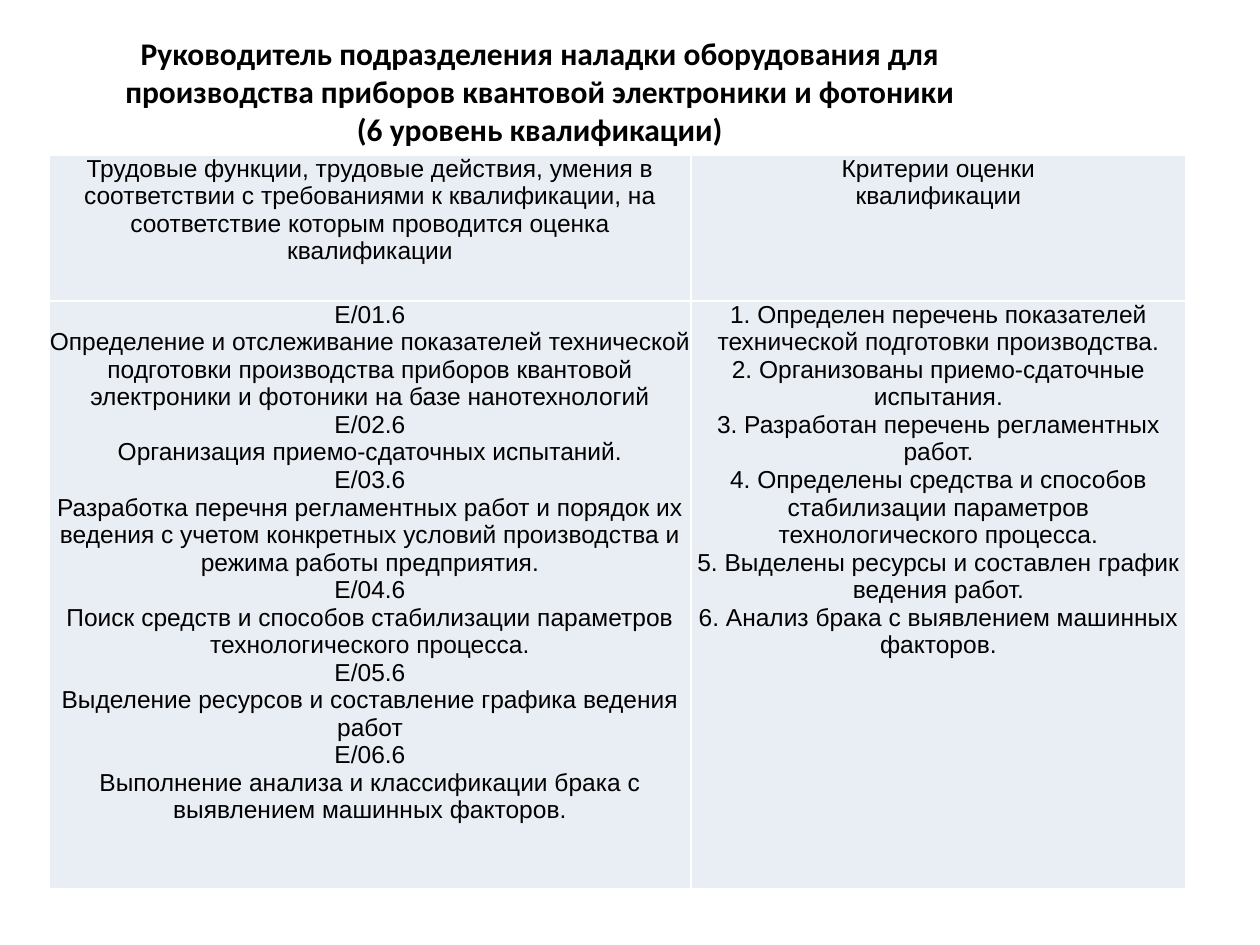
from lxml import etree
from pptx import Presentation
from pptx.dml.color import RGBColor
from pptx.enum.text import PP_ALIGN
from pptx.oxml.ns import qn
from pptx.util import Emu, Pt

PX = 914400 // 126
CENTER = PP_ALIGN.CENTER
BLACK = RGBColor(0x00, 0x00, 0x00)
WHITE = RGBColor(0xFF, 0xFF, 0xFF)
PALE_BLUE = RGBColor(0xE9, 0xED, 0xF4)

TITLE = [
    "Руководитель подразделения наладки оборудования для производства "
    "приборов квантовой электроники и фотоники",
    "(6 уровень квалификации)",
]
FUNCTIONS_HEADER = [
    "Трудовые функции, трудовые действия, умения в",
    "соответствии с требованиями к квалификации, на",
    "соответствие которым проводится оценка",
    "квалификации",
]
CRITERIA_HEADER = ["Критерии оценки", "квалификации"]
FUNCTIONS = [
    "Е/01.6",
    "Определение и отслеживание показателей технической подготовки производства "
    "приборов квантовой электроники и фотоники на базе нанотехнологий",
    "Е/02.6",
    "Организация приемо-сдаточных испытаний.",
    "Е/03.6",
    "Разработка перечня регламентных работ и порядок их ведения с учетом "
    "конкретных условий производства и режима работы предприятия.",
    "Е/04.6",
    "Поиск средств и способов стабилизации параметров технологического процесса.",
    "Е/05.6",
    "Выделение ресурсов и составление графика ведения работ",
    "Е/06.6",
    "Выполнение анализа и классификации брака с выявлением машинных факторов.",
]
CRITERIA = [
    "1. Определен перечень показателей технической подготовки производства.",
    "2. Организованы приемо-сдаточные испытания.",
    "3. Разработан перечень регламентных работ.",
    "4. Определены средства и способов стабилизации параметров "
    "технологического процесса.",
    "5. Выделены ресурсы и составлен график ведения работ.",
    "6. Анализ брака с выявлением машинных факторов.",
]
ROWS = [(FUNCTIONS_HEADER, CRITERIA_HEADER), (FUNCTIONS, CRITERIA)]
COLUMN_WIDTHS = [642, 495]
ROW_HEIGHTS = [146, 588]


def px(value):
    return Emu(value * PX)


def write_paragraphs(text_frame, lines, font_name, size, bold=False):
    text_frame.text = "\n".join(lines)
    for paragraph in text_frame.paragraphs:
        paragraph.alignment = CENTER
        for run in paragraph.runs:
            run.font.name = font_name
            run.font.size = Pt(size)
            run.font.bold = bold
            run.font.color.rgb = BLACK


def add_title(slide, left, top, width, height):
    shape = slide.shapes.add_textbox(px(left), px(top), px(width), px(height))
    shape.text_frame.word_wrap = True
    write_paragraphs(shape.text_frame, TITLE, "Calibri", 18, bold=True)


def set_borders(cell, color, width):
    properties = cell._tc.get_or_add_tcPr()
    # Borders come before the fill in the cell properties
    for index, side in enumerate(("a:lnL", "a:lnR", "a:lnT", "a:lnB")):
        line = etree.Element(qn(side), w=str(Pt(width)))
        fill = etree.SubElement(line, qn("a:solidFill"))
        etree.SubElement(fill, qn("a:srgbClr"), val=str(color))
        properties.insert(index, line)


def format_cell(cell, lines):
    cell.margin_left = cell.margin_right = 0
    cell.margin_top = cell.margin_bottom = 0
    cell.fill.solid()
    cell.fill.fore_color.rgb = PALE_BLUE
    set_borders(cell, WHITE, 1)
    write_paragraphs(cell.text_frame, lines, "Arial", 14)


def add_criteria_table(slide, left, top):
    frame = slide.shapes.add_table(
        len(ROWS), len(COLUMN_WIDTHS), px(left), px(top),
        px(sum(COLUMN_WIDTHS)), px(sum(ROW_HEIGHTS)))
    table = frame.table
    table.first_row = False
    table.horz_banding = False
    for column, width in zip(table.columns, COLUMN_WIDTHS):
        column.width = px(width)
    for row, height, texts in zip(table.rows, ROW_HEIGHTS, ROWS):
        row.height = px(height)
        for cell, lines in zip(row.cells, texts):
            format_cell(cell, lines)


def main():
    presentation = Presentation()
    presentation.slide_width = px(1260)
    presentation.slide_height = px(945)
    slide = presentation.slides.add_slide(presentation.slide_layouts[6])

    # Heading
    add_title(slide, 84, 28, 912, 127)
    # Labour functions and their assessment criteria
    add_criteria_table(slide, 49, 155)

    presentation.save("out.pptx")


if __name__ == "__main__":
    main()
